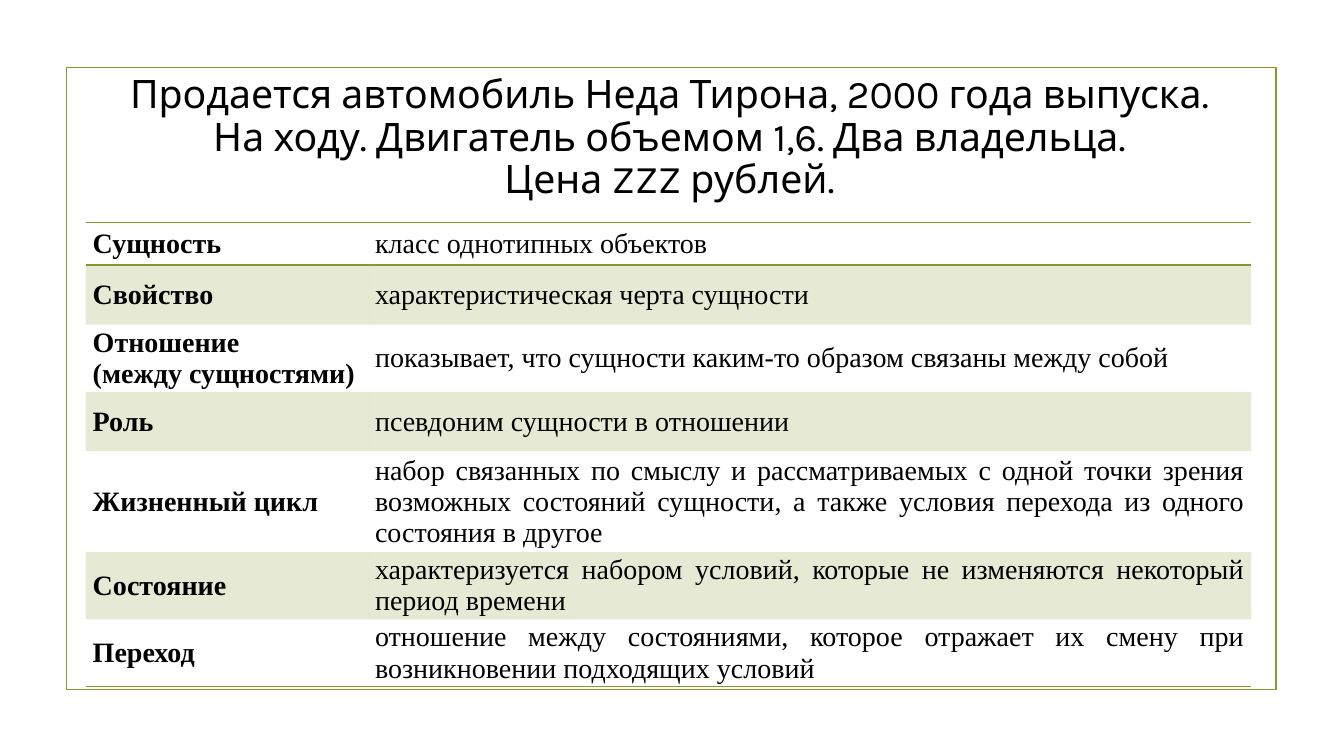
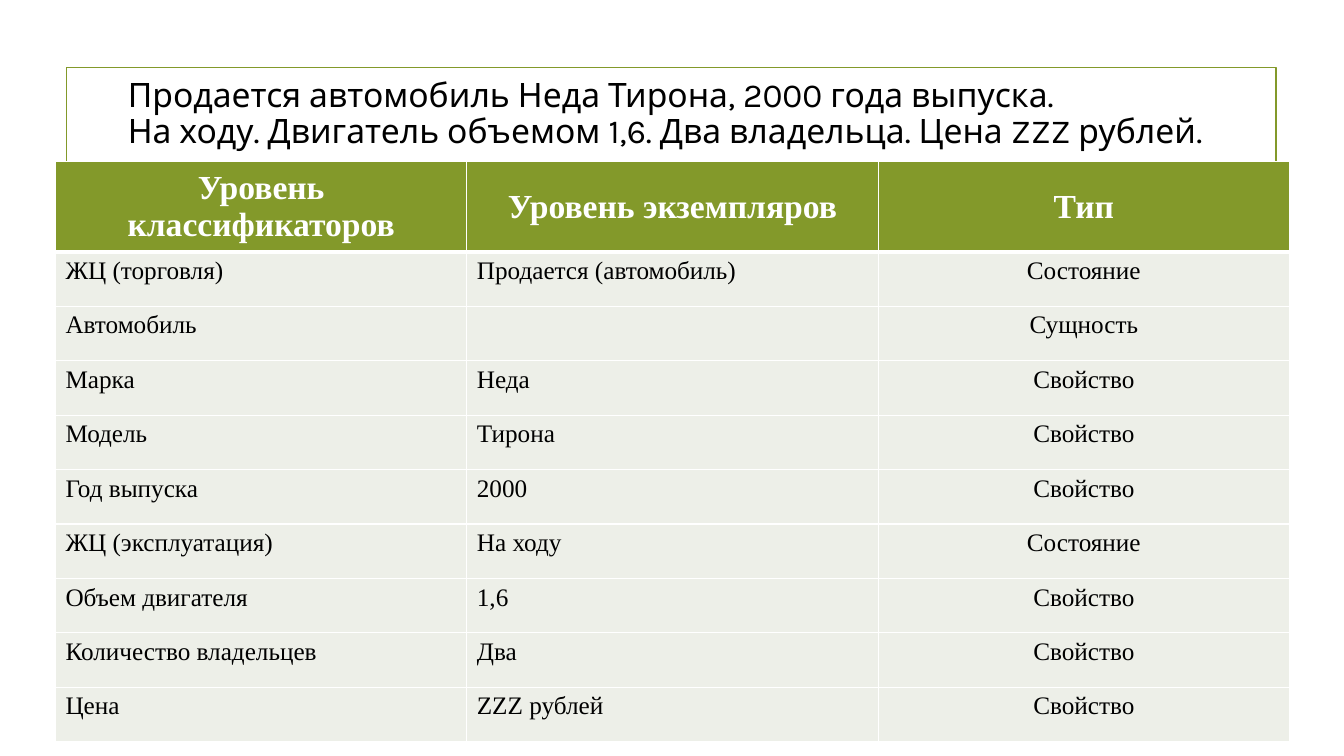
from lxml.etree import SubElement
from pptx import Presentation
from pptx.dml.color import RGBColor
from pptx.enum.shapes import MSO_CONNECTOR, MSO_SHAPE
from pptx.enum.text import MSO_ANCHOR, PP_ALIGN
from pptx.oxml import parse_xml
from pptx.oxml.ns import nsdecls, qn
from pptx.util import Inches, Pt

COLORS = {"green": "83992A", "pale": "EDEFE8", "white": "FFFFFF", "black": "000000"}
TITLE_FONT = "Karla"
TABLE_FONT = "Times New Roman"
PLAIN_STYLE = "{2D5ABB26-0587-4C30-8999-92F81FD0307C}"
SIDES = ("L", "R", "T", "B")

TERMS_TITLE = [
    "Продается автомобиль Неда Тирона, 2000 года выпуска.",
    "На ходу. Двигатель объемом 1,6. Два владельца.",
    "Цена ZZZ рублей.",
]
TERMS = [
    ("Сущность", "класс однотипных объектов"),
    ("Свойство", "характеристическая черта сущности"),
    ("Отношение\n(между сущностями)",
     "показывает, что сущности каким-то образом связаны между собой"),
    ("Роль", "псевдоним сущности в отношении"),
    ("Жизненный цикл",
     "набор связанных по смыслу и рассматриваемых с одной точки зрения возможных "
     "состояний сущности, а также условия перехода из одного состояния в другое"),
    ("Состояние",
     "характеризуется набором условий, которые не изменяются некоторый период времени"),
    ("Переход",
     "отношение между состояниями, которое отражает их смену при возникновении "
     "подходящих условий"),
]
TERM_HEIGHTS = [0.42, 0.59, 0.66, 0.59, 0.99, 0.66, 0.66]

EXAMPLE_TITLE = [
    "Продается автомобиль Неда Тирона, 2000 года выпуска.",
    "На ходу. Двигатель объемом 1,6. Два владельца. Цена ZZZ рублей.",
]
EXAMPLE = [
    ("Уровень классификаторов", "Уровень экземпляров", "Тип"),
    ("ЖЦ (торговля)", "Продается (автомобиль)", "Состояние"),
    ("Автомобиль", "", "Сущность"),
    ("Марка", "Неда", "Свойство"),
    ("Модель", "Тирона", "Свойство"),
    ("Год выпуска", "2000", "Свойство"),
    ("ЖЦ (эксплуатация)", "На ходу", "Состояние"),
    ("Объем двигателя", "1,6", "Свойство"),
    ("Количество владельцев", "Два", "Свойство"),
    ("Цена", "ZZZ рублей", "Свойство"),
]


def color(name):
    return RGBColor.from_string(COLORS[name])


def style_text(frame, font, size, ink, align, bold=False, spacing=None):
    for para in frame.paragraphs:
        para.alignment = align
        para.line_spacing = spacing
        for span in para.runs:
            span.font.name = font
            span.font.size = Pt(size)
            span.font.bold = bold
            span.font.color.rgb = color(ink)


def add_page(deck, title, place, size, align):
    page = deck.slides.add_slide(deck.slide_layouts[6])
    frame = page.shapes.add_shape(
        MSO_SHAPE.RECTANGLE, Inches(0.66), Inches(0.67), Inches(12), Inches(6.17))
    frame.shadow.inherit = False
    frame.fill.background()
    frame.line.color.rgb = color("green")
    frame.line.width = Pt(1.25)
    box = page.shapes.add_textbox(*map(Inches, place))
    box.text_frame.word_wrap = True
    box.text_frame.vertical_anchor = MSO_ANCHOR.MIDDLE
    box.text_frame.text = "\n".join(title)
    style_text(box.text_frame, TITLE_FONT, size, "black", align, spacing=0.9)
    return page


def add_grid(page, left, top, widths, heights):
    shape = page.shapes.add_table(
        len(heights), len(widths), Inches(left), Inches(top),
        Inches(sum(widths)), Inches(sum(heights)))
    table = shape.table
    table.first_row = table.horz_banding = False
    table._tbl.tblPr.find(qn("a:tableStyleId")).text = PLAIN_STYLE
    for column, width in zip(table.columns, widths):
        column.width = Inches(width)
    for row, height in zip(table.rows, heights):
        row.height = Inches(height)
    return table


def fill_cell(cell, name, opacity=100):
    if name is None:
        cell.fill.background()
        return
    cell.fill.solid()
    cell.fill.fore_color.rgb = color(name)
    if opacity < 100:
        tint = cell._tc.tcPr.find(qn("a:solidFill"))[0]
        SubElement(tint, qn("a:alpha")).set("val", str(opacity * 1000))


def set_borders(cell, name, widths):
    sides = [side for side in SIDES if side in widths]
    for index, side in enumerate(sides):
        line = parse_xml(
            f'<a:ln{side} {nsdecls("a")} w="{Pt(widths[side])}"><a:solidFill>'
            f'<a:srgbClr val="{COLORS[name]}"/></a:solidFill></a:ln{side}>')
        cell._tc.get_or_add_tcPr().insert(index, line)


def build_terms(deck):
    page = add_page(deck, TERMS_TITLE, (0.67, 0.62, 11.94, 1.51), 28, PP_ALIGN.CENTER)
    rule = page.shapes.add_connector(
        MSO_CONNECTOR.STRAIGHT, Inches(0.85), Inches(2.21), Inches(12.34), Inches(2.21))
    rule.line.color.rgb = color("green")
    rule.line.width = Pt(0.75)
    SubElement(rule._element.spPr, qn("a:effectLst"))
    table = add_grid(page, 0.85, 2.21, [2.8, 8.76], TERM_HEIGHTS)
    for row, texts in enumerate(TERMS):
        borders = {"T": 1, "B": 1} if row == 0 else {}
        if row == len(TERMS) - 1:
            borders = {"B": 1}
        for column, text in enumerate(texts):
            cell = table.cell(row, column)
            cell.text_frame.text = text
            cell.margin_left = cell.margin_right = Inches(0.07)
            cell.margin_top = cell.margin_bottom = 0
            cell.vertical_anchor = MSO_ANCHOR.MIDDLE
            align = PP_ALIGN.JUSTIFY if column else PP_ALIGN.LEFT
            style_text(cell.text_frame, TABLE_FONT, 20, "black", align, bold=column == 0)
            fill_cell(cell, "green" if row % 2 else None, 20)
            set_borders(cell, "green", borders)


def build_example(deck):
    page = add_page(deck, EXAMPLE_TITLE, (1.17, 0.68, 11.17, 0.91), 24, PP_ALIGN.LEFT)
    heights = [0.88] + [0.54] * (len(EXAMPLE) - 1)
    table = add_grid(page, 0.55, 1.6, [4.08] * 3, heights)
    for row, texts in enumerate(EXAMPLE):
        header = row == 0
        borders = dict.fromkeys(SIDES, 1)
        if header:
            borders["B"] = 3
        elif row == 1:
            borders["T"] = 3
        for column, text in enumerate(texts):
            cell = table.cell(row, column)
            cell.text_frame.text = text
            cell.vertical_anchor = MSO_ANCHOR.MIDDLE if header else MSO_ANCHOR.TOP
            align = PP_ALIGN.CENTER if header or column == 2 else PP_ALIGN.LEFT
            style_text(cell.text_frame, TABLE_FONT, 24 if header else 18,
                       "white" if header else "black", align, bold=header)
            fill_cell(cell, "green" if header else "pale")
            set_borders(cell, "white", borders)


def main():
    deck = Presentation()
    deck.slide_width = Inches(13.33)
    deck.slide_height = Inches(7.5)
    build_terms(deck)
    build_example(deck)
    deck.save("out.pptx")


if __name__ == "__main__":
    main()
